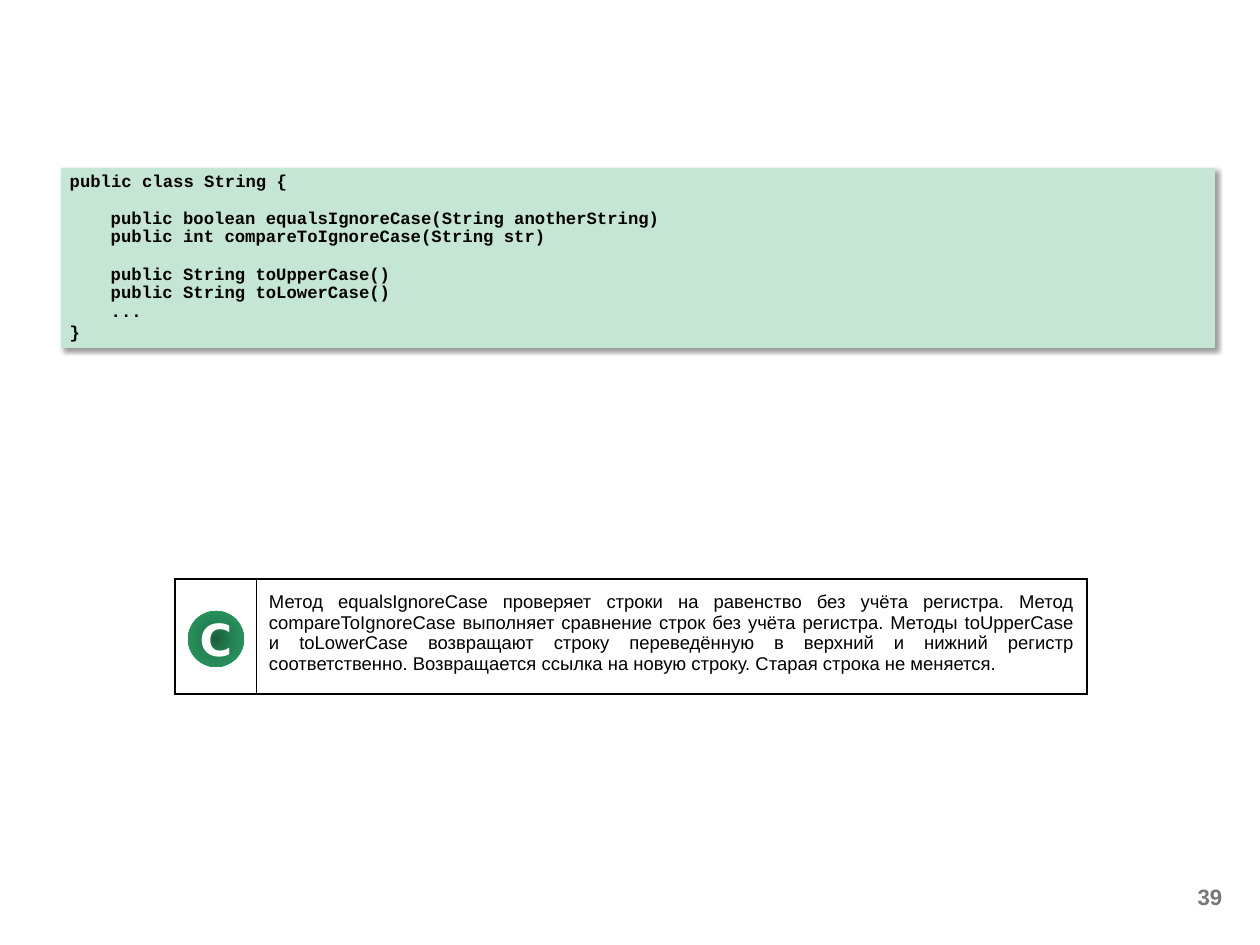
from lxml.etree import SubElement
from pptx import Presentation
from pptx.dml.color import RGBColor
from pptx.enum.shapes import MSO_SHAPE as SHAPE
from pptx.enum.text import MSO_ANCHOR as ANCHOR, PP_ALIGN as ALIGN
from pptx.oxml import parse_xml
from pptx.oxml.ns import nsdecls, qn
from pptx.util import Pt

EMU_PER_PX = 914400 / 88.6
COLORS = {
    "black": "000000", "white": "FFFFFF", "number": "777777", "code": "C5E5D5",
    "badge_inner": "1A5F3C", "badge_middle": "258756", "badge_outer": "2BA166",
}


def px(*lengths):
    """Turn pixel lengths into a list of EMU."""
    return [round(length * EMU_PER_PX) for length in lengths]


def style(paragraph, font_name, size, color, bold=False, align=ALIGN.LEFT):
    """Set the font and alignment of a paragraph."""
    font = paragraph.font
    font.name, font.size, font.bold = font_name, Pt(size), bold
    font.color.rgb = RGBColor.from_string(COLORS[color])
    paragraph.alignment = align


prs = Presentation()
prs.slide_width, prs.slide_height = px(1260, 945)
slide = prs.slides.add_slide(prs.slide_layouts[6])
shapes = slide.shapes

# Slide number
number = shapes.add_textbox(*px(937, 873, 294, 47)).text_frame
number.word_wrap = True
number.vertical_anchor = ANCHOR.MIDDLE
number.text = "39"
style(number.paragraphs[0], "Arial", 18, "number", True, ALIGN.RIGHT)

# Code panel: text, indent level, gap before in points
CODE_LINES = [
    ("public class String {", 0, 0),
    ("public boolean equalsIgnoreCase(String anotherString)", 1, 15),
    ("public int compareToIgnoreCase(String str)", 1, 0),
    ("public String toUpperCase()", 1, 15),
    ("public String toLowerCase()", 1, 0),
    ("...", 1, 0),
    ("}", 0, 0),
]
INDENT = px(41)[0]
panel = shapes.add_shape(SHAPE.RECTANGLE, *px(61, 168, 1154, 180))
panel.fill.solid()
panel.fill.fore_color.rgb = RGBColor.from_string(COLORS["code"])
panel.line.fill.background()
panel.shadow.inherit = False
effects = panel._element.spPr.find(qn("a:effectLst"))
effects.append(parse_xml(
    f'<a:outerShdw {nsdecls("a")} blurRad="{Pt(4)}" dist="{Pt(3)}" dir="2700000" '
    f'algn="tl" rotWithShape="0"><a:srgbClr val="{COLORS["black"]}">'
    '<a:alpha val="40000"/></a:srgbClr></a:outerShdw>'))
code = panel.text_frame
code.word_wrap = True
code.vertical_anchor = ANCHOR.TOP
code.text = "\n".join(text for text, _, _ in CODE_LINES)
for paragraph, (_, level, gap) in zip(code.paragraphs, CODE_LINES):
    style(paragraph, "Courier New", 14, "black", True)
    paragraph.line_spacing = 1.0 if paragraph.text == "}" else 0.9
    paragraph.space_before = Pt(gap)
    paragraph._p.get_or_add_pPr().set("marL", str(level * INDENT))

# Explanation table
EXPLANATION = (
    "Метод equalsIgnoreCase проверяет строки на равенство без учёта регистра. "
    "Метод compareToIgnoreCase выполняет сравнение строк без учёта регистра. "
    "Методы toUpperCase и toLowerCase возвращают строку переведённую в верхний "
    "и нижний регистр соответственно. Возвращается ссылка на новую строку. "
    "Старая строка не меняется.")
OUTER, INNER = 2.25, 0.5
table = shapes.add_table(1, 2, *px(175, 579, 912, 115)).table
table.first_row = table.horz_banding = False
for column, width in zip(table.columns, px(81, 831)):
    column.width = width
badge_cell, text_cell = table.rows[0].cells
text_cell.text = EXPLANATION
style(text_cell.text_frame.paragraphs[0], "Arial", 15, "black", align=ALIGN.JUSTIFY)
text_cell.margin_left = text_cell.margin_right = px(13)[0]
text_cell.margin_top = text_cell.margin_bottom = px(13)[0]
for cell, left, right in ((badge_cell, OUTER, INNER), (text_cell, INNER, OUTER)):
    properties = cell._tc.get_or_add_tcPr()
    for side, width in (("L", left), ("R", right), ("T", OUTER), ("B", OUTER)):
        border = SubElement(properties, qn(f"a:ln{side}"), w=str(Pt(width)))
        border_fill = SubElement(border, qn("a:solidFill"))
        SubElement(border_fill, qn("a:srgbClr"), val=COLORS["black"])
    cell.fill.solid()
    cell.fill.fore_color.rgb = RGBColor.from_string(COLORS["white"])

# Round badge with a radial gradient
badge = shapes.add_shape(SHAPE.OVAL, *px(188, 611, 56, 56))
badge.shadow.inherit = False
badge.line.fill.background()
stops = "".join(
    f'<a:gs pos="{position}"><a:srgbClr val="{COLORS[name]}"/></a:gs>'
    for position, name in ((0, "badge_inner"), (50000, "badge_middle"),
                           (100000, "badge_outer")))
badge._element.spPr.find(qn("a:prstGeom")).addnext(parse_xml(
    f'<a:gradFill {nsdecls("a")} rotWithShape="1"><a:gsLst>{stops}</a:gsLst>'
    '<a:path path="circle"><a:fillToRect l="50000" t="50000" r="50000" b="50000"/>'
    '</a:path></a:gradFill>'))
letter = badge.text_frame
letter.margin_left = letter.margin_right = letter.margin_top = letter.margin_bottom = 0
letter.word_wrap = True
letter.vertical_anchor = ANCHOR.MIDDLE
letter.text = "C"
style(letter.paragraphs[0], "DejaVu Sans", 36, "white", True, ALIGN.CENTER)

prs.save("out.pptx")
